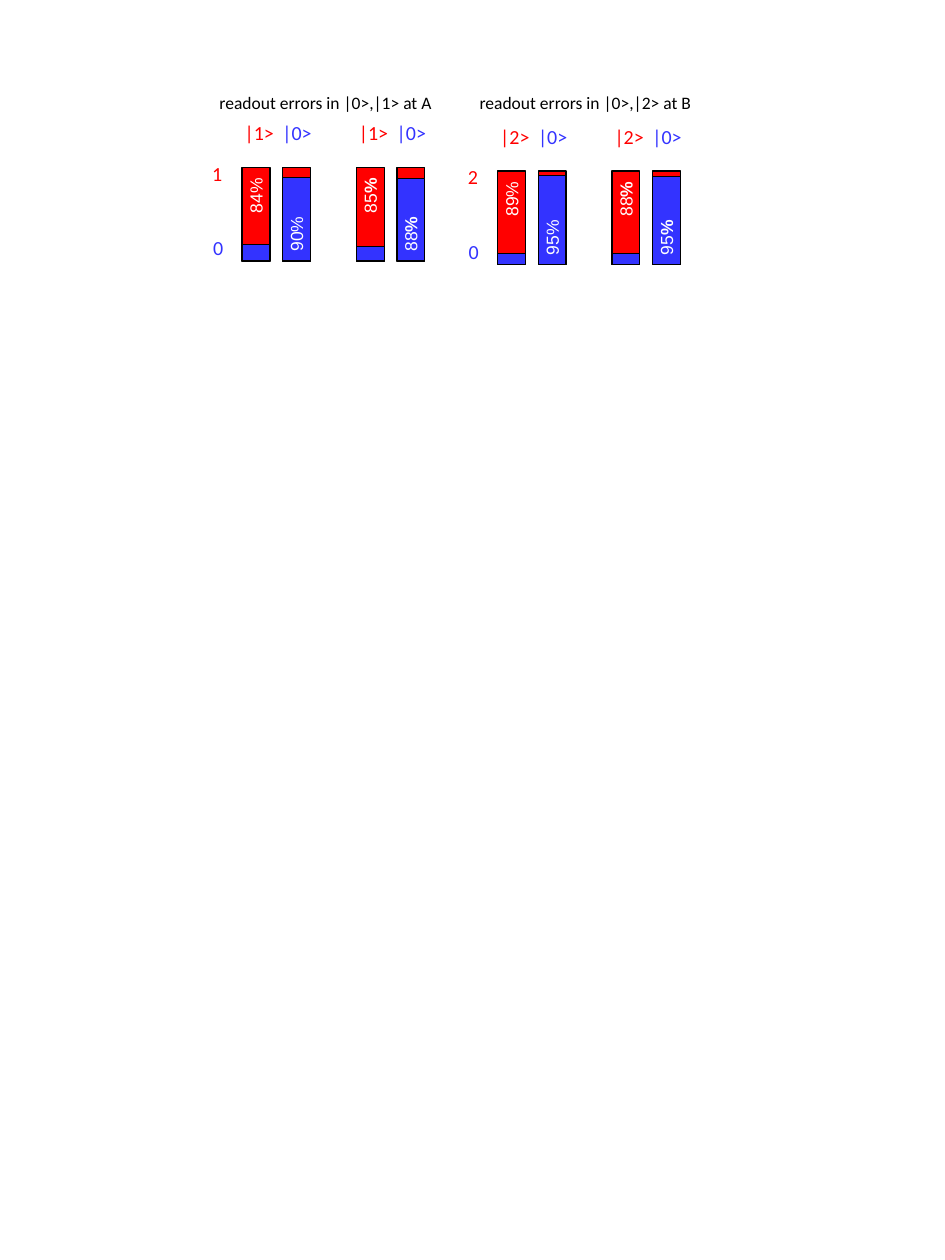
import pptx
import pptx.util
import pptx.dml.color
import pptx.enum.shapes
import pptx.enum.text

PX = 9144  # 100 px to the inch
INK = {"red": "FF0000", "blue": "3333FF", "white": "FFFFFF", "black": "000000"}

BARS = (43, 88, 170, 215)  # left edges within a panel
WIDE, TALL, TOP = 31, 104, 57


def color(name):
    return pptx.dml.color.RGBColor.from_string(INK[name])


def scale(*box):
    return [pptx.util.Emu(n * PX) for n in box]


def label(parts, box, text, size, ink, font="Calibri", tail=""):
    """Unwrapped text; a tail is set in bold after it."""
    shape = parts.add_textbox(*scale(*box))
    frame = shape.text_frame
    frame.word_wrap = False
    frame.auto_size = pptx.enum.text.MSO_AUTO_SIZE.SHAPE_TO_FIT_TEXT
    para = frame.paragraphs[0]
    para.add_run().text = text
    if tail:
        run = para.add_run()
        run.text = tail
        run.font.bold = True
    para.font.size = pptx.util.Pt(size)
    para.font.name = font
    para.font.color.rgb = color(ink)
    return shape


def block(parts, box, ink):
    shape = parts.add_shape(pptx.enum.shapes.MSO_SHAPE.RECTANGLE, *scale(*box))
    shape.shadow.inherit = False
    shape.fill.solid()
    shape.fill.fore_color.rgb = color(ink)
    shape.line.color.rgb = color("black")
    shape.line.width = pptx.util.Pt(1)


def bar(parts, left, top, low, text, mid, bold):
    """Red bar with a blue part of height low and a turned percentage."""
    block(parts, (left, top, WIDE, TALL), "red")
    block(parts, (left, top + TALL - low, WIDE, low), "blue")
    body, tail = (text[:-1], text[-1]) if bold else (text, "")
    box = (left - 14, mid - 17, 59, 34)
    label(parts, box, body, 14, "white", "Arial", tail).rotation = 270


def panel(slide, left, top, high, state, lows, texts):
    """Two pairs of bars with state labels; high is the red label height."""
    parts = slide.shapes.add_group_shape().shapes

    # Bars: the second pair has a bold percent sign
    for i, (x, low, text) in enumerate(zip(BARS, lows, texts)):
        mid = top + (131 if i % 2 else 88)
        bar(parts, left + x, top + TOP, low, text, mid, i > 1)

    # Prepared states above the bars
    for i, x in enumerate(BARS):
        if i % 2:
            label(parts, (left + x - 10, top, 55, 49), "|0>", 16, "blue")
        else:
            label(parts, (left + x - 7, top, 55, high), f"|{state}>", 16, "red")

    # Measured states at the side
    label(parts, (left, top + 45, 32, high), state, 16, "red")
    label(parts, (left + 1, top + 128, 32, 49), "0", 16, "blue")


def main():
    deck = pptx.Presentation()
    deck.slide_width, deck.slide_height = scale(1050, 1400)
    slide = deck.slides.add_slide(deck.slide_layouts[6])

    # Panels for B and A
    panel(slide, 510, 133, 37, "2", (12, 99, 12, 98), ("89%", "95%", "88%", "95%"))
    panel(slide, 226, 129, 49, "1", (18, 93, 16, 92), ("84%", "90%", "85%", "88%"))

    # Captions
    for left, state, site in ((234, 1, "A"), (523, 2, "B")):
        text = f"readout errors in |0>,|{state}> at {site}"
        label(slide.shapes, (left, 97, 258, 34), text, 14, "black")

    deck.save("out.pptx")


if __name__ == "__main__":
    main()
